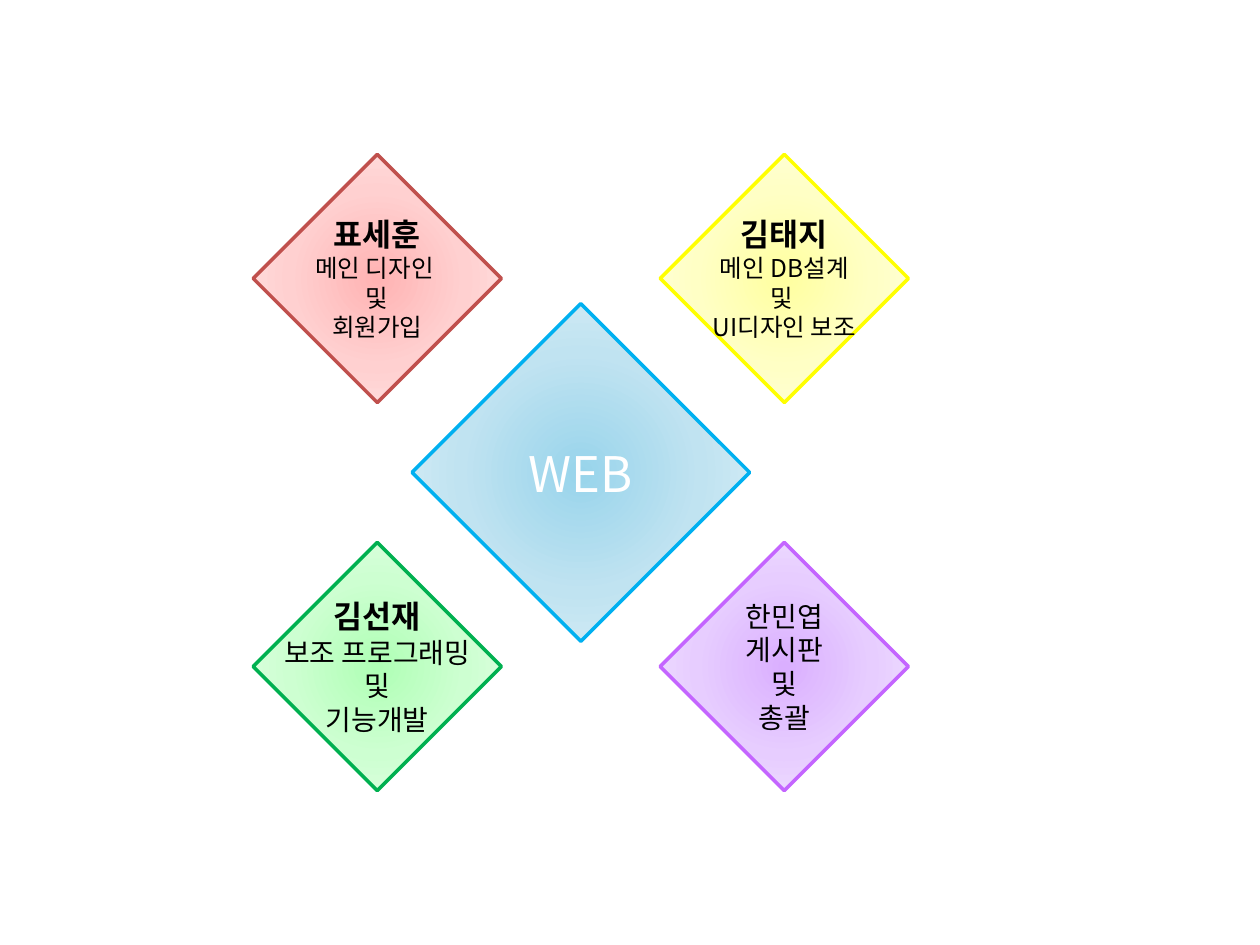
from dataclasses import dataclass

from lxml import etree
from pptx import Presentation
from pptx import util as u
from pptx.dml import color
from pptx.enum import shapes, text
from pptx.oxml import ns


@dataclass(frozen=True)
class Theme:
    font: str = "Noto Sans CJK KR"
    ink: str = "000000"
    light: str = "FFFFFF"
    hub_size: int = 28
    name_size: int = 18
    large_size: int = 16
    small_size: int = 14
    outline: int = 2


@dataclass(frozen=True)
class Line:
    wording: str
    size: int
    bold: bool = False


@dataclass(frozen=True)
class Diamond:
    column: int
    row: int
    side: float
    glow: tuple[str, str, str]
    border: str
    ink: str
    lines: list[Line]
    frame: dict


THEME = Theme()
CENTER_X, CENTER_Y = 4.61, 3.75
STEP_X, STEP_Y = 1.615, 1.54
HUB_SIDE, MEMBER_SIDE = 2.68, 1.97
HUB_FRAME = {"word_wrap": True}
MEMBER_FRAME = {
    "word_wrap": False,
    "margin_left": 0,
    "margin_right": 0,
    "margin_top": 0,
    "margin_bottom": 0,
}


def member(column: int, row: int, glow: tuple[str, str, str], border: str,
           name: Line, duties: list[str], duty_size: int) -> Diamond:
    lines = [name] + [Line(duty, duty_size) for duty in duties]
    return Diamond(column, row, MEMBER_SIDE, glow, border, THEME.ink, lines, MEMBER_FRAME)


DIAMONDS = [
    Diamond(0, 0, HUB_SIDE, ("98D4EB", "C0E3F1", "E0F1F7"), "00B0F0", THEME.light,
            [Line("WEB", THEME.hub_size)], HUB_FRAME),
    member(1, 1, ("DAAFFF", "E7CDFF", "F3E7FF"), "C465FF",
           Line("한민엽", THEME.large_size),
           ["게시판", "및", "총괄"], THEME.large_size),
    member(1, -1, ("FFFFA0", "FFFFC5", "FFFFE3"), "FFFF00",
           Line("김태지", THEME.name_size, True),
           ["메인 DB설계", "및 ", "UI디자인 보조"], THEME.small_size),
    member(-1, 1, ("AFFFB5", "CDFFD1", "E7FFE8"), "00B050",
           Line("김선재", THEME.name_size, True),
           ["보조 프로그래밍", "및", "기능개발"], THEME.large_size),
    member(-1, -1, ("FFB3B3", "FFD0D0", "FFE8E8"), "C0504D",
           Line("표세훈", THEME.name_size, True),
           ["메인 디자인 ", "및", "회원가입"], THEME.small_size),
]


def apply(target, values: dict) -> None:
    for key, value in values.items():
        setattr(target, key, value)


def radial_fill(shape, glow: tuple[str, str, str]) -> None:
    gradient = etree.Element(ns.qn("a:gradFill"), rotWithShape="1")
    stops = etree.SubElement(gradient, ns.qn("a:gsLst"))
    for index, tint in enumerate(glow):
        stop = etree.SubElement(stops, ns.qn("a:gs"), pos=str(index * 50000))
        etree.SubElement(stop, ns.qn("a:srgbClr"), val=tint)
    circle = etree.SubElement(gradient, ns.qn("a:path"), path="circle")
    etree.SubElement(circle, ns.qn("a:fillToRect"), l="50000", t="50000", r="50000", b="50000")
    shape._element.spPr.find(ns.qn("a:prstGeom")).addnext(gradient)


def write_line(paragraph, line: Line, ink: str) -> None:
    paragraph.alignment = text.PP_ALIGN.CENTER
    run = paragraph.add_run()
    run.text = line.wording
    apply(run.font, {"name": THEME.font, "size": u.Pt(line.size), "bold": line.bold})
    run.font.color.rgb = color.RGBColor.from_string(ink)
    etree.SubElement(run._r.get_or_add_rPr(), ns.qn("a:ea"), typeface=THEME.font)


def draw_diamond(slide, diamond: Diamond) -> None:
    left = CENTER_X + diamond.column * STEP_X - diamond.side / 2
    top = CENTER_Y + diamond.row * STEP_Y - diamond.side / 2
    side = u.Inches(diamond.side)
    shape = slide.shapes.add_shape(
        shapes.MSO_SHAPE.DIAMOND, u.Inches(left), u.Inches(top), side, side)
    shape.shadow.inherit = False
    radial_fill(shape, diamond.glow)
    shape.line.color.rgb = color.RGBColor.from_string(diamond.border)
    shape.line.width = u.Pt(THEME.outline)
    frame = shape.text_frame
    apply(frame, {"vertical_anchor": text.MSO_ANCHOR.MIDDLE, **diamond.frame})
    for index, line in enumerate(diamond.lines):
        paragraph = frame.add_paragraph() if index else frame.paragraphs[0]
        write_line(paragraph, line, diamond.ink)


def build() -> None:
    deck = Presentation()
    apply(deck, {"slide_width": u.Inches(10), "slide_height": u.Inches(7.5)})
    slide = deck.slides.add_slide(deck.slide_layouts[6])
    for diamond in DIAMONDS:
        draw_diamond(slide, diamond)
    deck.save("out.pptx")


build()
